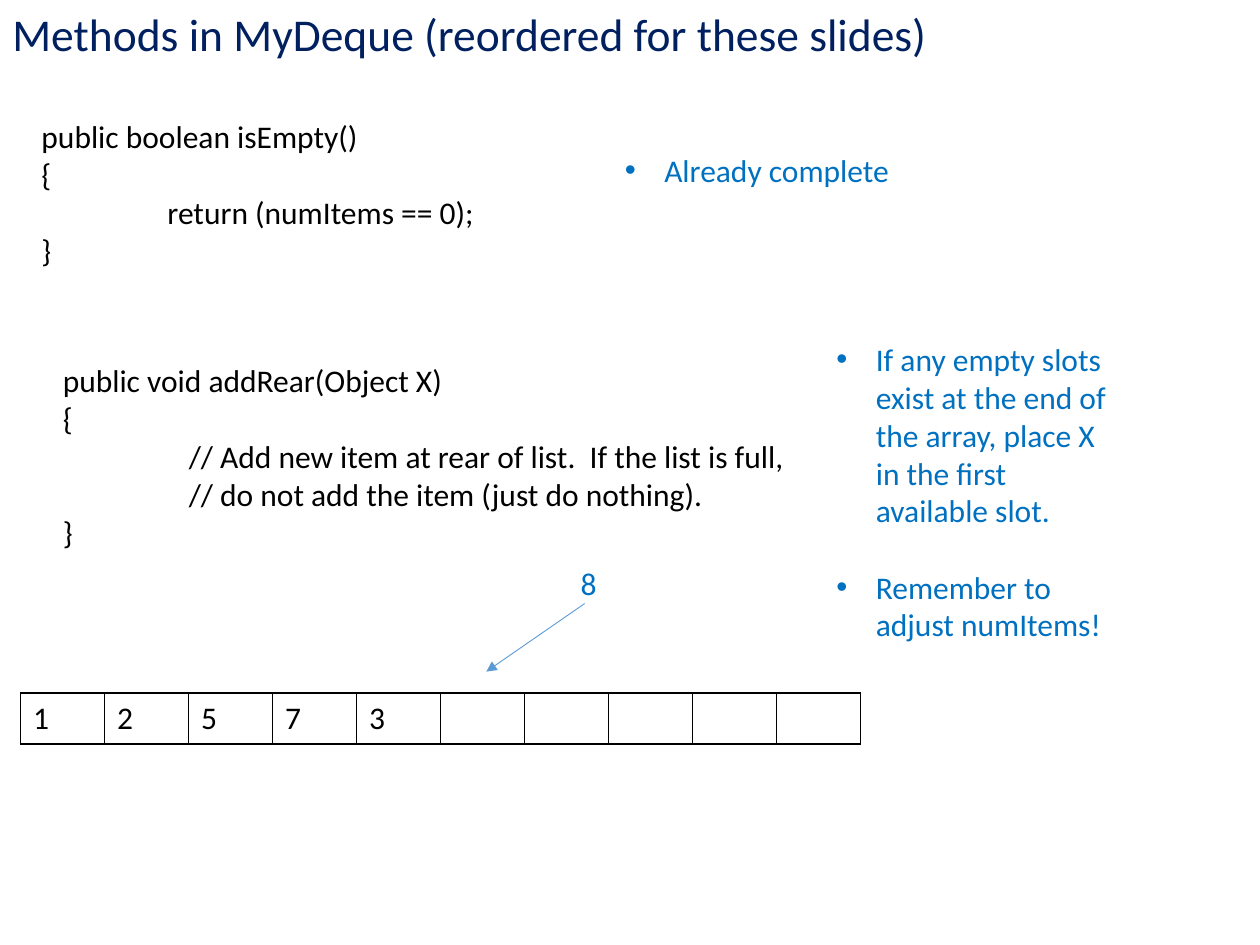
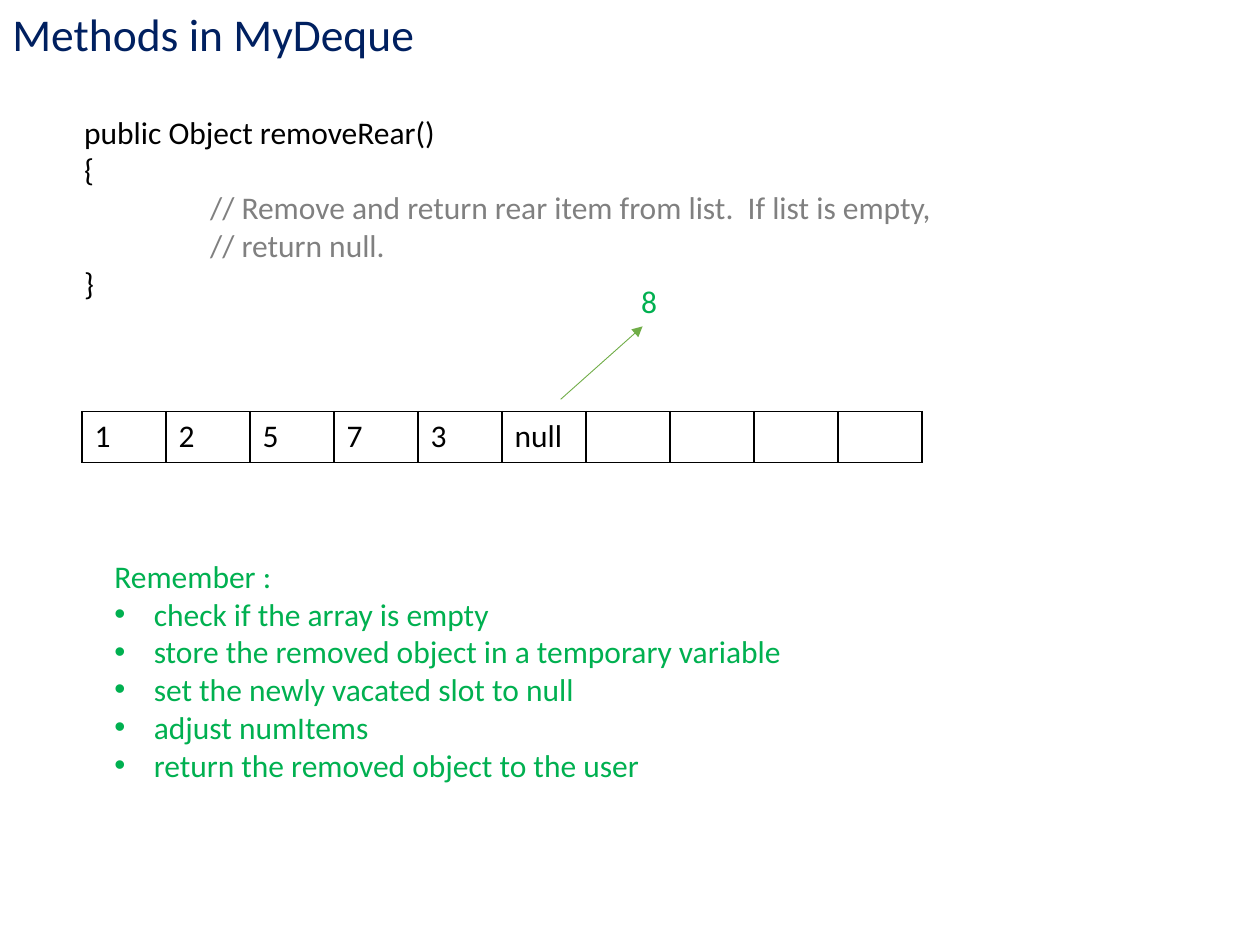
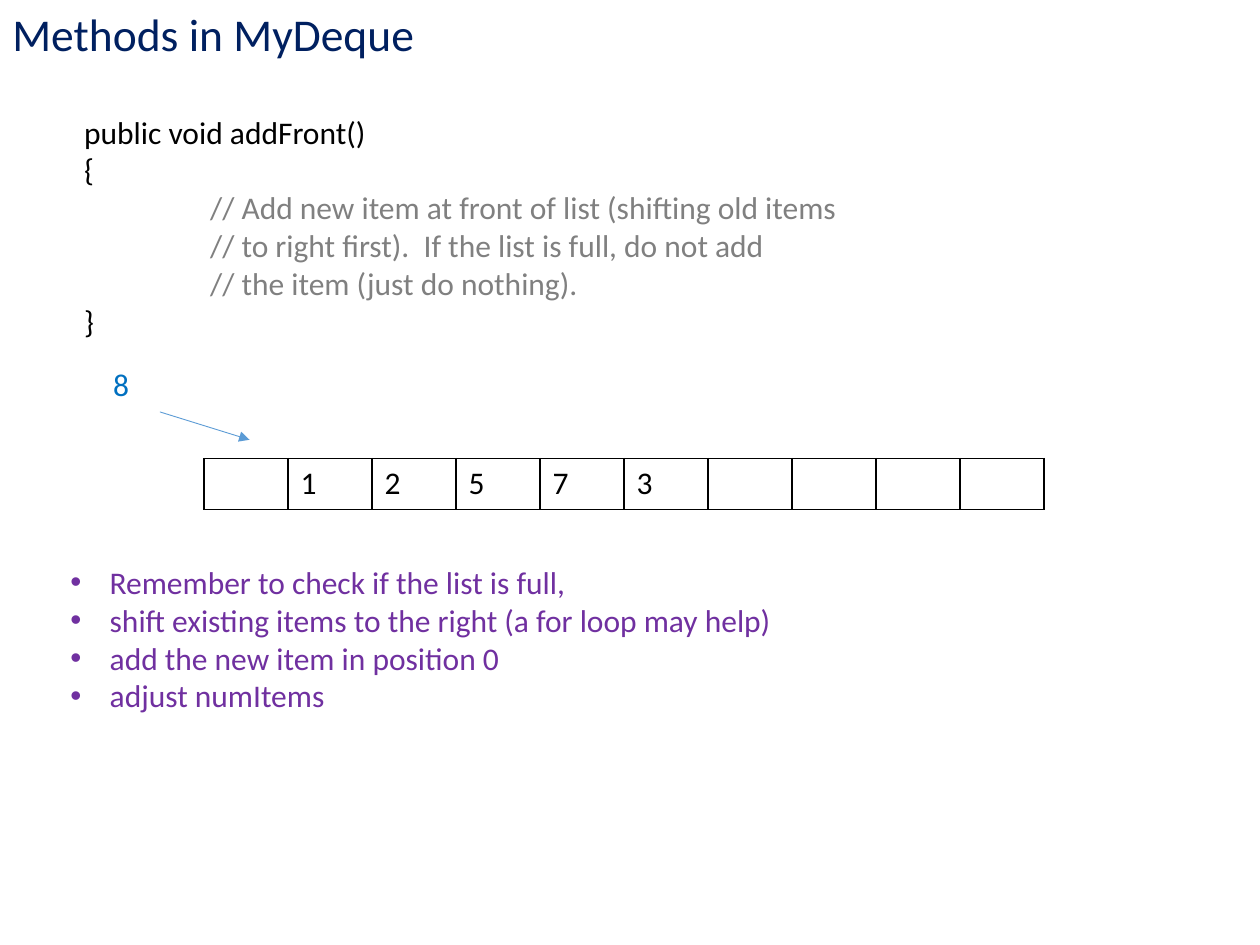
from dataclasses import dataclass

from lxml import etree
from pptx import Presentation
from pptx.dml.color import RGBColor
from pptx.enum.shapes import MSO_CONNECTOR
from pptx.enum.text import MSO_AUTO_SIZE
from pptx.oxml.ns import qn
from pptx.util import Pt

STRAIGHT = MSO_CONNECTOR.STRAIGHT
GROW = MSO_AUTO_SIZE.SHAPE_TO_FIT_TEXT


@dataclass(frozen=True)
class Theme:
    font: str = "Calibri"
    bullet_font: str = "Arial"
    title_size: float = 26
    body_size: float = 18
    title: str = "002060"
    code: str = "000000"
    comment: str = "808080"
    blue: str = "0070C0"
    green: str = "00B050"
    purple: str = "7030A0"
    blue_arrow: str = "5B9BD5"
    green_arrow: str = "70AD47"
    border: str = "000000"


THEME = Theme()
SLIDE_WIDTH, SLIDE_HEIGHT = 720, 540
TAB = 72
BULLET_INDENT = 22.5
LINE_HEIGHT = 22
CELL_WIDTH, CELL_HEIGHT = 48, 29.2
SLOT_COUNT = 10


def add_slide(presentation, title):
    slide = presentation.slides.add_slide(presentation.slide_layouts[6])
    text_frame = add_text_box(slide, 0, 0, 640.8, 38.9)
    add_run(text_frame.paragraphs[0], title, THEME.title, THEME.title_size)
    return slide


def add_text_box(slide, left, top, width, height):
    shape = slide.shapes.add_textbox(Pt(left), Pt(top), Pt(width), Pt(height))
    text_frame = shape.text_frame
    text_frame.word_wrap = True
    text_frame.auto_size = GROW
    return text_frame


def add_run(paragraph, text, color, size=THEME.body_size):
    run = paragraph.add_run()
    run.text = text
    run.font.name = THEME.font
    run.font.size = Pt(size)
    run.font.color.rgb = RGBColor.from_string(color)


def take_paragraph(text_frame, index):
    return text_frame.add_paragraph() if index else text_frame.paragraphs[0]


def set_indent(paragraph, left, first=0):
    properties = paragraph._p.get_or_add_pPr()
    properties.set("marL", str(Pt(left)))
    properties.set("indent", str(Pt(first)))
    return properties


def add_code(slide, left, top, width, signature, body, body_color):
    lines = [(signature, 1), ("{", 1), *((line, 2) for line in body), ("}", 1)]
    height = len(lines) * LINE_HEIGHT + 7.2
    text_frame = add_text_box(slide, left, top, width, height)
    for index, (text, depth) in enumerate(lines):
        paragraph = take_paragraph(text_frame, index)
        set_indent(paragraph, depth * TAB)
        add_run(paragraph, text, body_color if depth == 2 else THEME.code)


def add_bullets(slide, left, top, width, height, items, color, heading=None, gap=0):
    text_frame = add_text_box(slide, left, top, width, height)
    lines = [heading, *items] if heading else items
    for index, text in enumerate(lines):
        paragraph = take_paragraph(text_frame, index)
        if index and gap:
            paragraph.space_before = Pt(gap)
        if text != heading:
            properties = set_indent(paragraph, BULLET_INDENT, -BULLET_INDENT)
            etree.SubElement(properties, qn("a:buFont"), typeface=THEME.bullet_font)
            etree.SubElement(properties, qn("a:buChar"), char="•")
        add_run(paragraph, text, color)


def add_item(slide, left, top, width, text, color):
    text_frame = add_text_box(slide, left, top, width, 28.8)
    add_run(text_frame.paragraphs[0], text, color)


def add_arrow(slide, start, end, color):
    connector = slide.shapes.add_connector(STRAIGHT, *map(Pt, start + end))
    connector.line.width = Pt(0.5)
    connector.line.color.rgb = RGBColor.from_string(color)
    properties = connector._element.spPr
    etree.SubElement(properties.find(qn("a:ln")), qn("a:tailEnd"), type="triangle")
    etree.SubElement(properties, qn("a:effectLst"))


def set_borders(cell):
    properties = cell._tc.get_or_add_tcPr()
    for side in ("L", "R", "T", "B"):
        line = etree.SubElement(properties, qn(f"a:ln{side}"), w=str(Pt(1)))
        fill = etree.SubElement(line, qn("a:solidFill"))
        etree.SubElement(fill, qn("a:srgbClr"), val=THEME.border)


def add_array(slide, left, top, values):
    table = slide.shapes.add_table(
        1, SLOT_COUNT, Pt(left), Pt(top), Pt(SLOT_COUNT * CELL_WIDTH), Pt(CELL_HEIGHT)
    ).table
    table.first_row = False
    table.horz_banding = False
    for index in range(SLOT_COUNT):
        table.columns[index].width = Pt(CELL_WIDTH)
        cell = table.cell(0, index)
        set_borders(cell)
        cell.fill.background()
        if index < len(values) and values[index]:
            add_run(cell.text_frame.paragraphs[0], values[index], THEME.code)


def build_add_rear(presentation):
    slide = add_slide(presentation, "Methods in MyDeque (reordered for these slides)")
    add_bullets(slide, 350, 82.8, 170, 28.8, ["Already complete"], THEME.blue)
    add_code(slide, -55.4, 63.4, 358.6, "public boolean isEmpty()",
             ["return (numItems == 0);"], THEME.code)
    add_bullets(slide, 470.9, 190.8, 170, 181.4, [
        "If any empty slots exist at the end of the array, "
        "place X in the first available slot.",
        "Remember to adjust numItems!",
    ], THEME.blue, gap=LINE_HEIGHT)
    add_code(slide, -43.2, 203, 592.6, "public void addRear(Object X)", [
        "// Add new item at rear of list.  If the list is full,",
        "// do not add the item (just do nothing).",
    ], THEME.code)
    add_array(slide, 11.8, 396, ["1", "2", "5", "7", "3"])
    add_arrow(slide, (334.1, 344.9), (277.9, 383.8), THEME.blue_arrow)
    add_item(slide, 324.7, 319, 33.8, "8", THEME.blue)


def build_remove_rear(presentation):
    slide = add_slide(presentation, "Methods in MyDeque")
    add_code(slide, -31, 60.8, 603.4, "public Object removeRear()", [
        "// Remove and return rear item from list.  If list is empty,",
        "// return null.",
    ], THEME.comment)
    add_array(slide, 46.9, 235.2, ["1", "2", "5", "7", "3", "null"])
    add_arrow(slide, (320.4, 228.2), (367.2, 186.5), THEME.green_arrow)
    add_bullets(slide, 58.3, 314.6, 499.7, 138.2, [
        "check if the array is empty",
        "store the removed object in a temporary variable",
        "set the newly vacated slot to null",
        "adjust numItems",
        "return the removed object to the user",
    ], THEME.green, heading="Remember :")
    add_item(slide, 359.3, 157.7, 41.8, "8", THEME.green)


def build_add_front(presentation):
    slide = add_slide(presentation, "Methods in MyDeque")
    add_code(slide, -31, 60.8, 603.4, "public void addFront()", [
        "// Add new item at front of list (shifting old items",
        "// to right first).  If the list is full, do not add",
        "// the item (just do nothing).",
    ], THEME.comment)
    add_bullets(slide, 33.1, 318.2, 499.7, 94.3, [
        "Remember to check if the list is full,",
        "shift existing items to the right (a for loop may help)",
        "add the new item in position 0",
        "adjust numItems",
    ], THEME.purple)
    add_arrow(slide, (91.4, 235.4), (142.6, 251.3), THEME.blue_arrow)
    add_item(slide, 57.6, 205.2, 33.8, "8", THEME.blue)
    add_array(slide, 116.6, 262.1, ["", "1", "2", "5", "7", "3"])


def main():
    presentation = Presentation()
    presentation.slide_width = Pt(SLIDE_WIDTH)
    presentation.slide_height = Pt(SLIDE_HEIGHT)
    build_add_rear(presentation)
    build_remove_rear(presentation)
    build_add_front(presentation)
    presentation.save("out.pptx")


if __name__ == "__main__":
    main()
